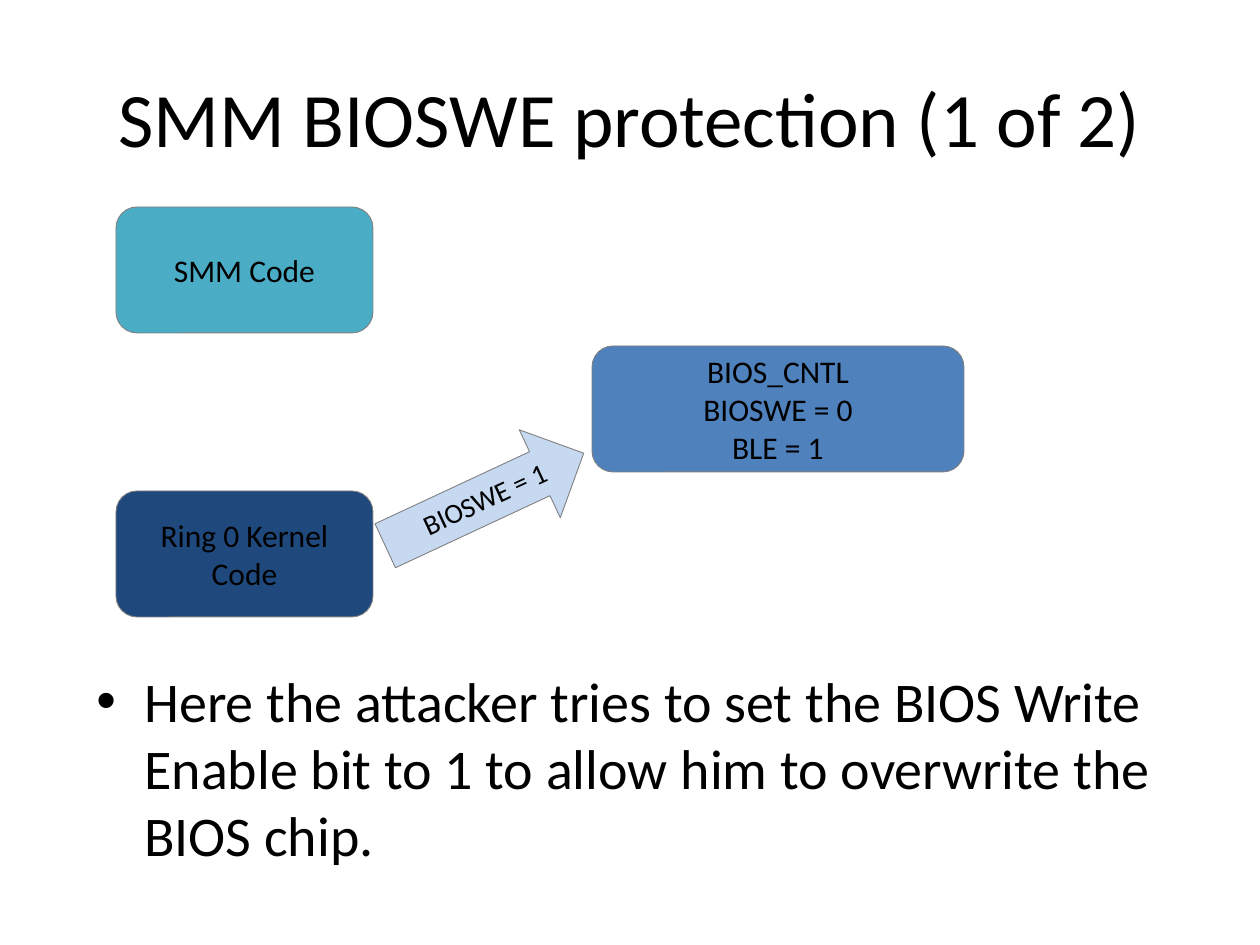
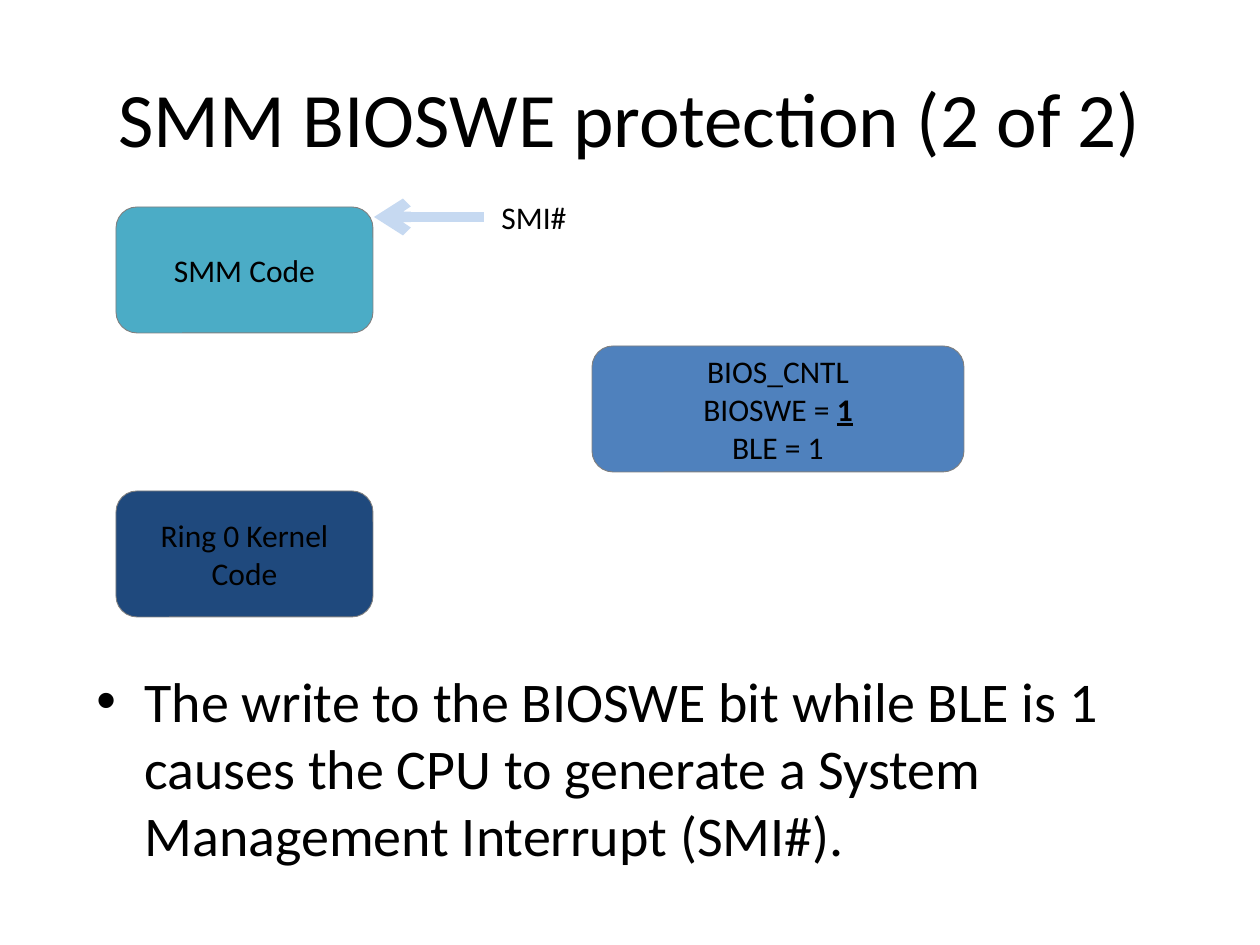
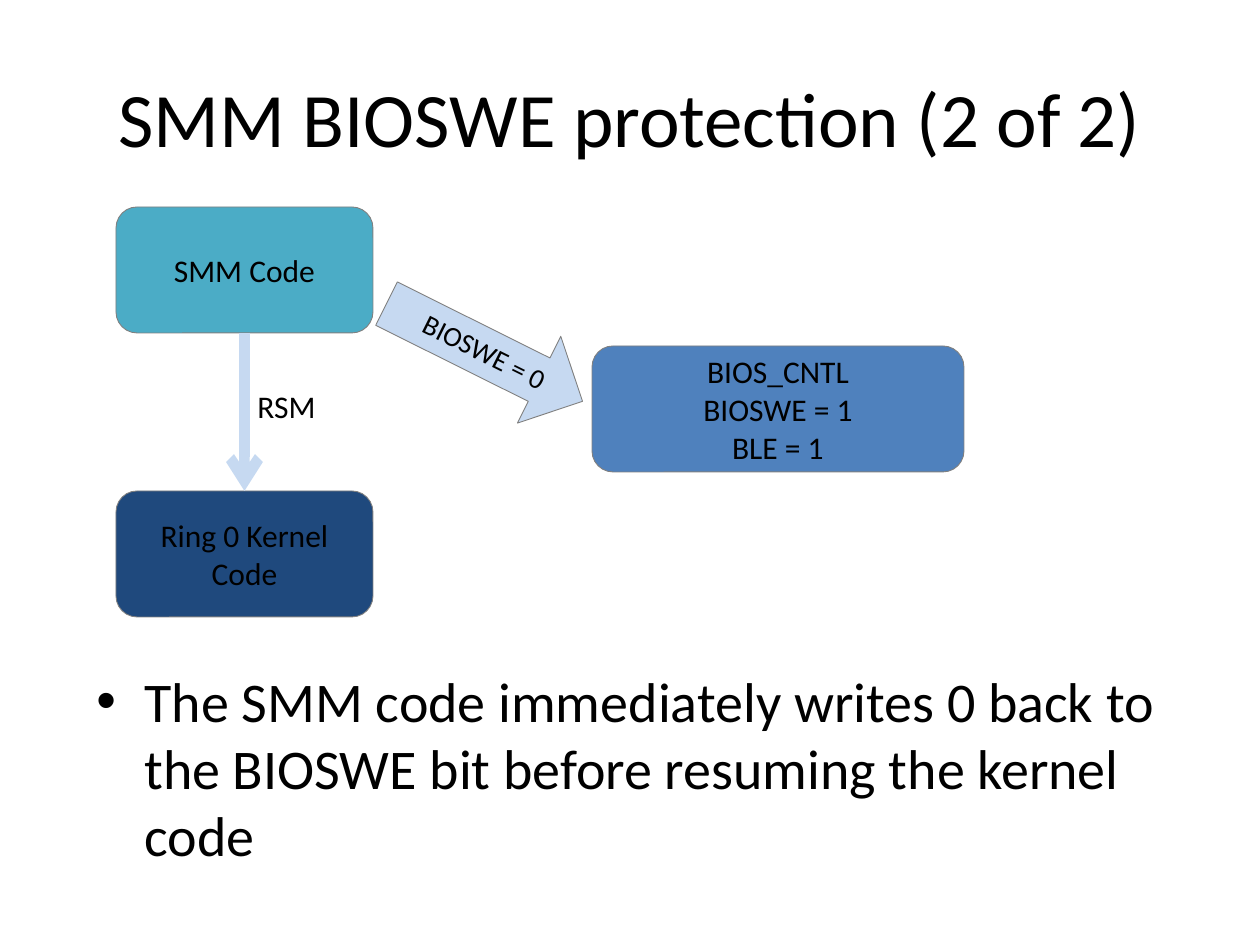
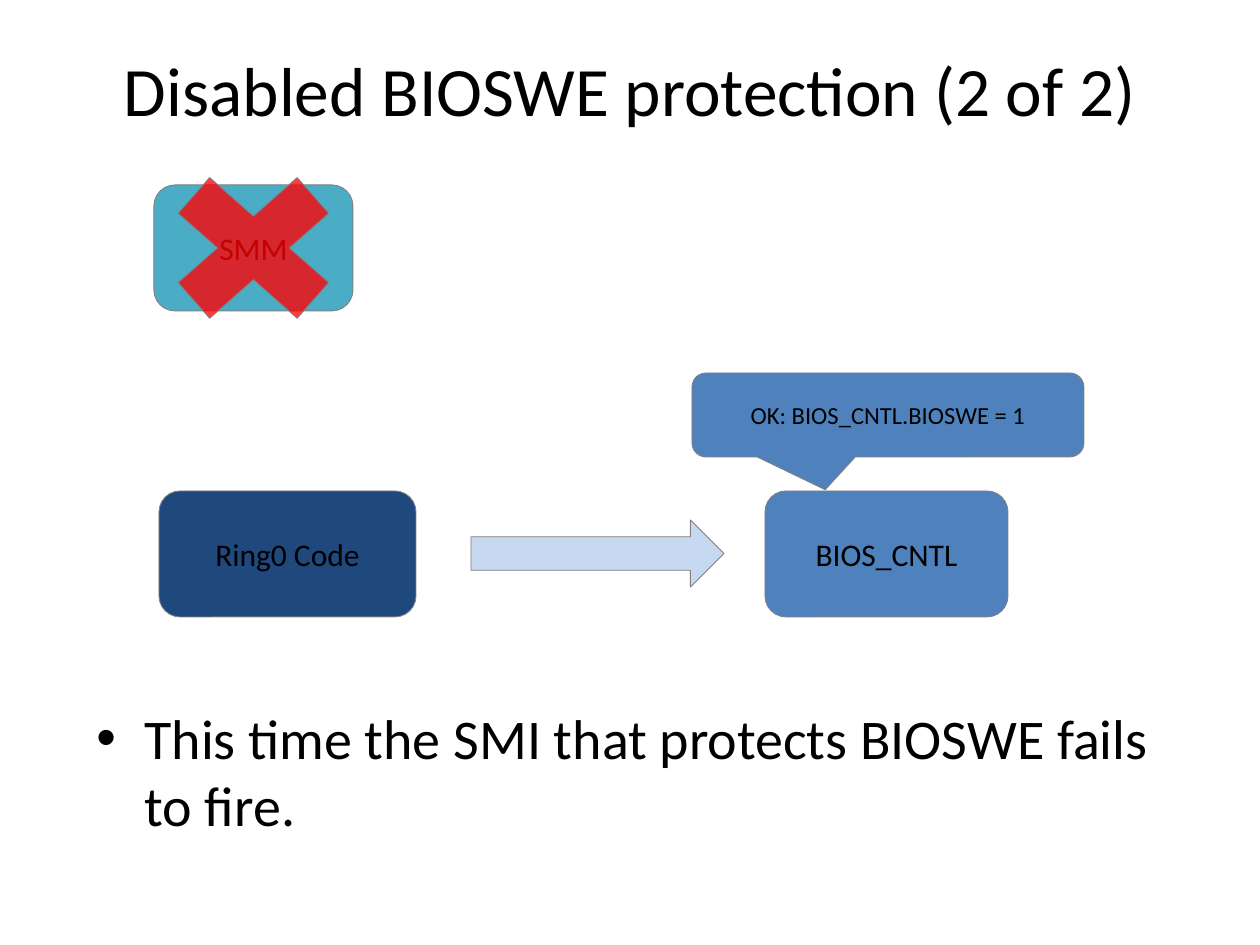
from lxml import etree
from pptx import Presentation
from pptx import util as u
from pptx.dml.color import RGBColor
from pptx.enum import shapes, text
from pptx.oxml import ns

PX = 914400 / 126  # EMU in one px
FONT = "Calibri"
COLORS = {
    "text": "000000",
    "outline": "808080",
    "kernel": "1F497D",
    "register": "4F81BD",
    "smm": "4BACC6",
    "arrow": "C6D9F1",
    "cross": "FF0000",
}
CENTER, LEFT = text.PP_ALIGN.CENTER, text.PP_ALIGN.LEFT
KIND = shapes.MSO_SHAPE

# Places shared by the three protection slides: left, top, width, height
SMM_AT = (116, 207, 257, 126)
KERNEL_AT = (116, 491, 257, 126)
REGISTER_AT = (592, 346, 372, 126)


def px(*lengths):
    return [u.Emu(round(length * PX)) for length in lengths]


def color(name):
    return RGBColor.from_string(COLORS[name])


def sub(parent, tag, **attributes):
    return etree.SubElement(parent, ns.qn(tag), attributes)


# Text
def style_run(run, size):
    run.font.name = FONT
    run.font.size = u.Pt(size)
    run.font.color.rgb = color("text")


def write(frame, words, size, align=CENTER):
    frame.text = words
    for paragraph in frame.paragraphs:
        paragraph.alignment = align
        for run in paragraph.runs:
            style_run(run, size)


def add_label(parent, at, words, size=18, align=CENTER, wrap=False):
    label = parent.shapes.add_textbox(*px(*at))
    label.text_frame.word_wrap = wrap
    write(label.text_frame, words, size, align)
    return label


def add_title(slide, words, top=38, size=44):
    title = add_label(slide, (63, top, 1134, 158), words, size, wrap=True)
    title.text_frame.vertical_anchor = text.MSO_ANCHOR.MIDDLE


def add_bullet(slide, words, top=660, height=199):
    body = add_label(slide, (84, top, 1134, height), words, 32, LEFT, wrap=True)
    properties = body.text_frame.paragraphs[0]._p.get_or_add_pPr()
    indent = px(48)[0]
    properties.set("marL", str(indent))
    properties.set("indent", str(-indent))
    sub(properties, "a:buFont", typeface="Arial")
    sub(properties, "a:buChar", char="•")


# Shapes
def add_block(parent, kind, at, fill, words="", size=18):
    block = parent.shapes.add_shape(kind, *px(*at))
    block.shadow.inherit = False
    block.fill.solid()
    block.fill.fore_color.rgb = color(fill)
    block.line.color.rgb = color("outline")
    block.line.width = u.Pt(0.5)
    if words:
        write(block.text_frame, words, size)
    return block


def add_box(slide, at, fill, words):
    return add_block(slide, KIND.ROUNDED_RECTANGLE, at, fill, words)


def add_write_arrow(slide, top, angle, words, label_width):
    """A tilted arrow with its label centred on it."""
    group = slide.shapes.add_group_shape()
    left, width = 375, 219
    arrow = add_block(group, KIND.RIGHT_ARROW, (left, top, width, 97), "arrow")
    label_left = left + (width - label_width) / 2
    label = add_label(group, (label_left, top + 24, label_width, 47), words, 16)
    arrow.rotation = label.rotation = angle


def add_signal(slide, start, end):
    signal = slide.shapes.add_connector(shapes.MSO_CONNECTOR.STRAIGHT, *px(*start, *end))
    signal.line.color.rgb = color("arrow")
    signal.line.width = u.Pt(6)
    sub(signal.line._get_or_add_ln(), "a:tailEnd", type="arrow")
    sub(signal._element.spPr, "a:effectLst")
    return signal


# Slides
def new_slide(deck):
    return deck.slides.add_slide(deck.slide_layouts[6])


def protection_slide(deck, part, message, bioswe, changed=False):
    slide = new_slide(deck)
    add_title(slide, f"SMM BIOSWE protection ({part} of 2)")
    add_bullet(slide, message)
    kernel = add_box(slide, KERNEL_AT, "kernel", "Ring 0 Kernel Code")
    shown = "" if changed else bioswe
    register = add_box(slide, REGISTER_AT, "register",
                       f"BIOS_CNTL\nBIOSWE = {shown}\nBLE = 1")
    if changed:
        value = register.text_frame.paragraphs[1].add_run()
        value.text = str(bioswe)
        style_run(value, 18)
        value.font.bold = value.font.underline = True
    smm = add_box(slide, SMM_AT, "smm", "SMM Code")
    return slide, smm, kernel


def attack_slide(deck):
    slide, _, _ = protection_slide(
        deck, 1, "Here the attacker tries to set the BIOS Write Enable bit to 1 "
        "to allow him to overwrite the BIOS chip.", 0)
    add_write_arrow(slide, 451, 335, "BIOSWE = 1", 186)


def interrupt_slide(deck):
    slide, _, _ = protection_slide(
        deck, 2, "The write to the BIOSWE bit while BLE is 1 causes the CPU to "
        "generate a System Management Interrupt (SMI#).", 1, changed=True)
    add_signal(slide, (484, 217), (374, 217))
    add_label(slide, (484, 192, 100, 50), "SMI#")


def resume_slide(deck):
    slide, smm, kernel = protection_slide(
        deck, 2, "The SMM code immediately writes 0 back to the BIOSWE bit "
        "before resuming the kernel code", 1)
    add_write_arrow(slide, 304, 26.5, "BIOSWE = 0", 158)
    resume = add_signal(slide, (245, 333), (245, 491))
    resume.begin_connect(smm, 2)
    resume.end_connect(kernel, 0)
    add_label(slide, (245, 381, 96, 50), "RSM", align=LEFT)


def disabled_slide(deck):
    slide = new_slide(deck)
    add_title(slide, "Disabled BIOSWE protection (2 of 2)", top=10, size=39.6)
    add_bullet(slide, "This time the SMI that protects BIOSWE fails to fire.", 697, 147)
    add_box(slide, (159, 491, 257, 126), "kernel", "Ring0 Code")
    add_box(slide, (765, 491, 243, 126), "register", "BIOS_CNTL")
    add_block(slide, KIND.RIGHT_ARROW, (471, 520, 253, 67), "arrow")
    reply = add_block(slide, KIND.ROUNDED_RECTANGULAR_CALLOUT, (692, 373, 392, 84),
                      "register", "OK: BIOS_CNTL.BIOSWE = 1", 14)
    reply.adjustments[0], reply.adjustments[1] = -0.16, 0.89
    add_box(slide, (154, 185, 199, 126), "smm", "SMM")
    cross = add_block(slide, KIND.MATH_MULTIPLY, (139, 147, 229, 202), "cross")
    cross_color = cross._element.spPr.find(ns.qn("a:solidFill"))[0]
    sub(cross_color, "a:alpha", val="77000")


def main():
    deck = Presentation()
    deck.slide_width, deck.slide_height = px(1260, 945)
    attack_slide(deck)
    interrupt_slide(deck)
    resume_slide(deck)
    disabled_slide(deck)
    deck.save("out.pptx")


if __name__ == "__main__":
    main()
